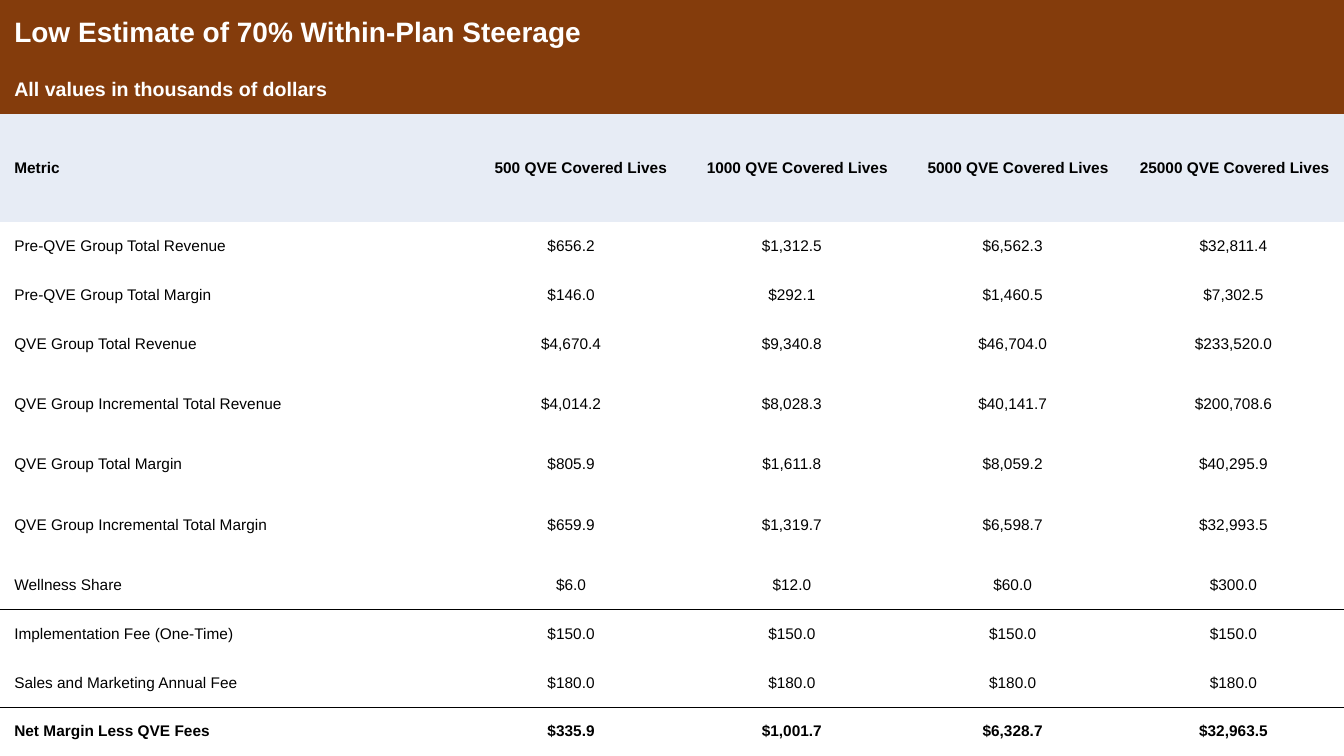
from dataclasses import dataclass

from lxml.etree import SubElement
from pptx import Presentation
from pptx.dml.color import RGBColor
from pptx.enum.text import MSO_ANCHOR, PP_ALIGN as Align
from pptx.oxml import parse_xml
from pptx.oxml.ns import nsdecls, qn
from pptx.table import Table, _Cell as Cell
from pptx.util import Cm, Pt

COLORS = {"banner": "843C0C", "header": "E7ECF5", "white": "FFFFFF", "black": "000000"}
FONT = "Arial"
PLAIN_TABLE_STYLE = "{2D5ABB26-0587-4C30-8999-92F81FD0307C}"

SLIDE_WIDTH, SLIDE_HEIGHT = 33.87, 19.05
METRIC_WIDTH = 11.61
NORMAL_ROW, TALL_ROW = 1.23, 1.81
SIDE_MARGIN = 0.36


@dataclass
class Row:
    texts: list[str]
    height: float = NORMAL_ROW
    size: int = 11
    bold: bool = False
    color: str = "black"
    fill: str | None = None
    value_align: Align = Align.CENTER
    ruled: bool = False  # black line below the row


SCENARIOS = [f"{lives} QVE Covered Lives" for lives in (500, 1000, 5000, 25000)]
SCENARIO_WIDTH = (SLIDE_WIDTH - METRIC_WIDTH) / len(SCENARIOS)

ROWS = [
    Row(["Low Estimate of 70% Within-Plan Steerage"], height=1.64, size=20,
        bold=True, color="white", fill="banner"),
    Row(["All values in thousands of dollars"], size=14,
        bold=True, color="white", fill="banner"),
    Row(["Metric", *SCENARIOS], height=2.72, bold=True, fill="header",
        value_align=Align.RIGHT),
    Row(["Pre-QVE Group Total Revenue", "$656.2", "$1,312.5", "$6,562.3", "$32,811.4"]),
    Row(["Pre-QVE Group Total Margin", "$146.0", "$292.1", "$1,460.5", "$7,302.5"]),
    Row(["QVE Group Total Revenue", "$4,670.4", "$9,340.8", "$46,704.0", "$233,520.0"]),
    Row(["QVE Group Incremental Total Revenue", "$4,014.2", "$8,028.3", "$40,141.7",
         "$200,708.6"], height=TALL_ROW),
    Row(["QVE Group Total Margin", "$805.9", "$1,611.8", "$8,059.2", "$40,295.9"]),
    Row(["QVE Group Incremental Total Margin", "$659.9", "$1,319.7", "$6,598.7",
         "$32,993.5"], height=TALL_ROW),
    Row(["Wellness Share", "$6.0", "$12.0", "$60.0", "$300.0"], ruled=True),
    Row(["Implementation Fee (One-Time)"] + ["$150.0"] * 4),
    Row(["Sales and Marketing Annual Fee"] + ["$180.0"] * 4, ruled=True),
    Row(["Net Margin Less QVE Fees", "$335.9", "$1,001.7", "$6,328.7", "$32,963.5"],
        bold=True),
]


def write_text(cell: Cell, text: str, *, size: int, bold: bool, color: str,
               align: Align) -> None:
    cell.vertical_anchor = MSO_ANCHOR.MIDDLE
    cell.margin_left = cell.margin_right = Cm(SIDE_MARGIN)
    cell.margin_top = cell.margin_bottom = 0
    paragraph = cell.text_frame.paragraphs[0]
    paragraph.alignment = align
    run = paragraph.add_run()
    run.text = text
    run.font.name = FONT
    run.font.size = Pt(size)
    run.font.bold = bold
    run.font.color.rgb = RGBColor.from_string(COLORS[color])


def fill_cell(cell: Cell, color: str | None) -> None:
    if color is None:
        cell.fill.background()
    else:
        cell.fill.solid()
        cell.fill.fore_color.rgb = RGBColor.from_string(COLORS[color])


def set_borders(cell: Cell, *, top: bool, bottom: bool) -> None:
    """Draw black lines on the chosen sides and clear the others."""
    sides = {"lnL": False, "lnR": False, "lnT": top, "lnB": bottom}
    for position, (side, shown) in enumerate(sides.items()):
        line = parse_xml(f'<a:{side} {nsdecls("a")} w="{Pt(1)}"/>')
        if shown:
            solid = SubElement(line, qn("a:solidFill"))
            SubElement(solid, qn("a:srgbClr"), val=COLORS["black"])
        else:
            SubElement(line, qn("a:noFill"))
        cell._tc.get_or_add_tcPr().insert(position, line)


def fill_row(table: Table, index: int, row: Row) -> None:
    table.rows[index].height = Cm(row.height)
    ruled_above = index > 0 and ROWS[index - 1].ruled
    cells = list(table.rows[index].cells)
    for cell in cells:
        fill_cell(cell, row.fill)
        set_borders(cell, top=ruled_above, bottom=row.ruled)
    if len(row.texts) == 1:
        cells[0].merge(cells[-1])
    for column, (cell, text) in enumerate(zip(cells, row.texts)):
        write_text(cell, text, size=row.size, bold=row.bold, color=row.color,
                   align=row.value_align if column else Align.LEFT)


def add_estimate_table(slide) -> None:
    table = slide.shapes.add_table(len(ROWS), len(SCENARIOS) + 1, 0, 0,
                                   Cm(SLIDE_WIDTH), Cm(SLIDE_HEIGHT)).table
    table.first_row = table.horz_banding = False
    table._tbl.tblPr.find(qn("a:tableStyleId")).text = PLAIN_TABLE_STYLE
    for index, column in enumerate(table.columns):
        column.width = Cm(SCENARIO_WIDTH if index else METRIC_WIDTH)
    for index, row in enumerate(ROWS):
        fill_row(table, index, row)


def main() -> None:
    deck = Presentation()
    deck.slide_width, deck.slide_height = Cm(SLIDE_WIDTH), Cm(SLIDE_HEIGHT)
    blank_layout = deck.slide_layouts[6]
    add_estimate_table(deck.slides.add_slide(blank_layout))
    deck.save("out.pptx")


if __name__ == "__main__":
    main()
